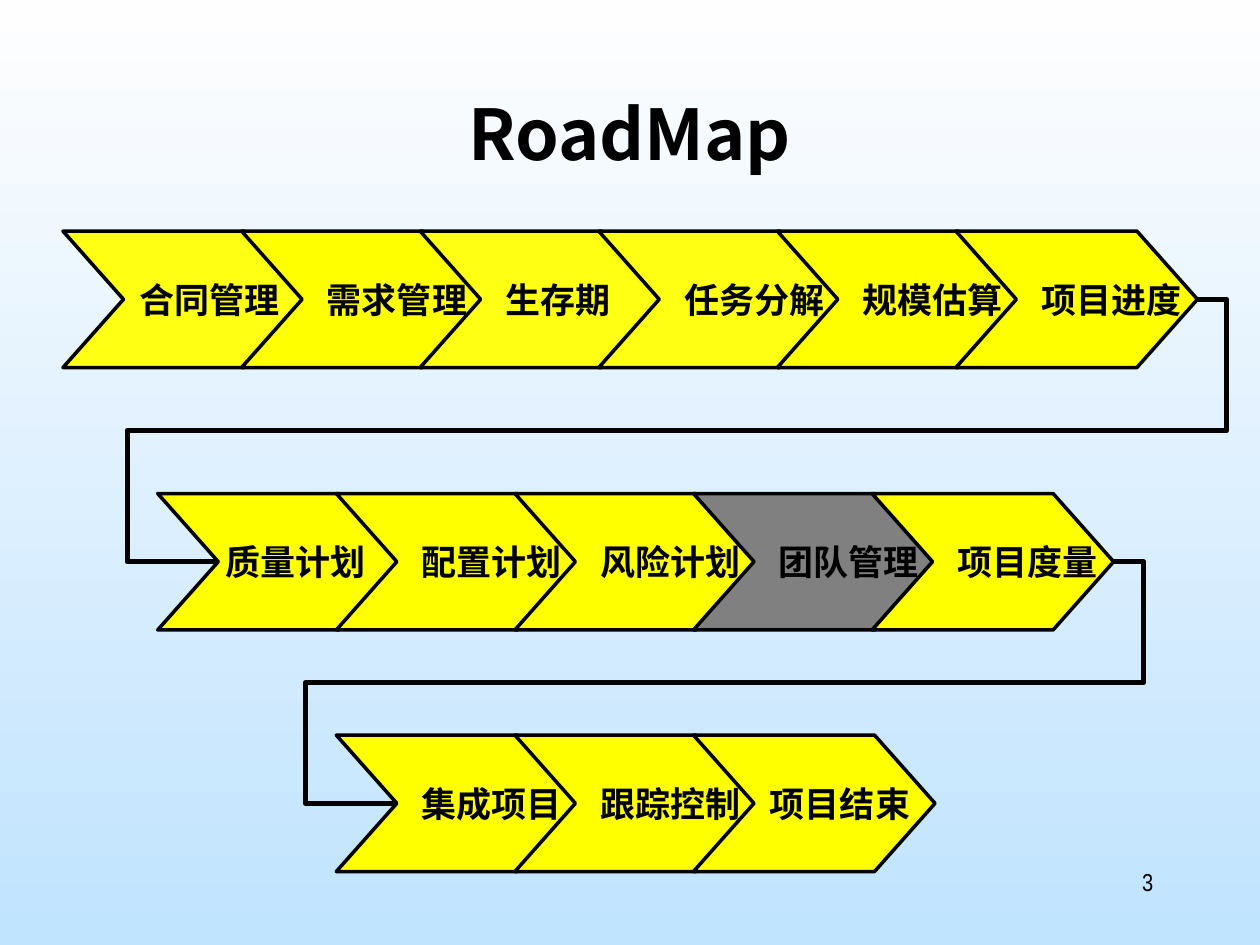
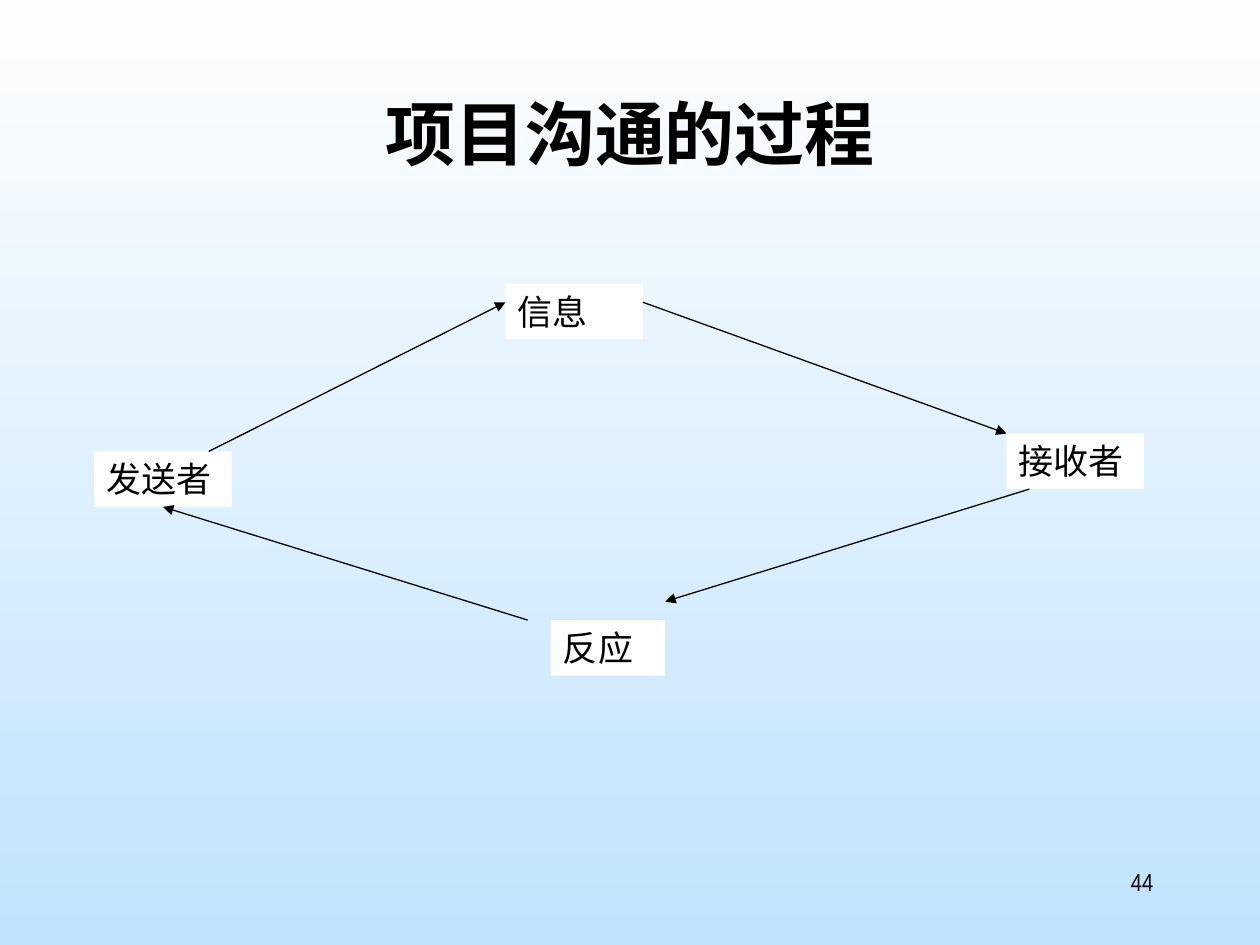
from lxml import etree
from pptx import Presentation
from pptx.dml.color import RGBColor
from pptx.enum.shapes import MSO_CONNECTOR, MSO_SHAPE
from pptx.enum.text import MSO_ANCHOR, MSO_AUTO_SIZE, PP_ALIGN
from pptx.oxml.ns import qn
from pptx.util import Cm, Pt

STRAIGHT, ELBOW = MSO_CONNECTOR.STRAIGHT, MSO_CONNECTOR.ELBOW
RECTANGLE = MSO_SHAPE.RECTANGLE
TOP, MIDDLE = MSO_ANCHOR.TOP, MSO_ANCHOR.MIDDLE
CENTER, RIGHT, JUSTIFY = PP_ALIGN.CENTER, PP_ALIGN.RIGHT, PP_ALIGN.JUSTIFY
NO_AUTOFIT = MSO_AUTO_SIZE.NONE

BLACK, WHITE, GRAY = "000000", "FFFFFF", "808080"
YELLOW, PALE_YELLOW = "FFFF00", "FFFF13"
SKY_TOP, SKY_BOTTOM = "FEFEFE", "C0E3FE"
CJK_FONT, LABEL_FONT, NODE_FONT = "Noto Sans CJK SC", "Arial Narrow", "Times New Roman"

TITLE_BOX = (1.9, 1.7, 21.6, 3.18)
NUMBER_BOX = (18.2, 17.35, 5.3, 1.27)

STEP_WIDTH, STEP_HEIGHT, STEP_PITCH, STEP_POINT = 4.87, 2.75, 3.6, 1.22
WIDE_SHIFT, MID_SHIFT, SMALL_SHIFT = 1.4, 1.04, 0.7
ROADMAP_ROWS = [
    (1.27, 4.66, [
        ("合同管理", PALE_YELLOW, MID_SHIFT),
        ("需求管理", YELLOW, WIDE_SHIFT),
        ("生存期", PALE_YELLOW, SMALL_SHIFT),
        ("任务分解", PALE_YELLOW, WIDE_SHIFT),
        ("规模估算", YELLOW, WIDE_SHIFT),
        ("项目进度", YELLOW, WIDE_SHIFT),
    ]),
    (3.18, 9.95, [
        ("质量计划", YELLOW, SMALL_SHIFT),
        ("配置计划", YELLOW, WIDE_SHIFT),
        ("风险计划", YELLOW, WIDE_SHIFT),
        ("团队管理", GRAY, WIDE_SHIFT),
        ("项目度量", YELLOW, WIDE_SHIFT),
    ]),
    (6.78, 14.82, [
        ("集成项目", YELLOW, WIDE_SHIFT),
        ("跟踪控制", YELLOW, WIDE_SHIFT),
        ("项目结束", YELLOW, MID_SHIFT),
    ]),
]
LINK_OVERHANG_RIGHT, LINK_OVERHANG_LEFT = 0.6, 1.83

PROCESS_NODES = {
    "发送者": (1.9, 9.1, 2.77, 1.12),
    "接收者": (20.29, 8.74, 2.77, 1.12),
    "信息": (10.19, 5.72, 2.77, 1.12),
    "反应": (11.1, 12.5, 2.31, 1.12),
}
PROCESS_ARROWS = [
    (("发送者", 5 / 6, 0), ("信息", 0, 1 / 3)),
    (("信息", 1, 1 / 3), ("接收者", 0, 0)),
    (("接收者", 1 / 6, 1), ("反应", 1, -1 / 3)),
    (("反应", -0.2, 0), ("发送者", 0.5, 1)),
]


def color(hex_code):
    return RGBColor.from_string(hex_code)


def place(shape, box):
    shape.left, shape.top, shape.width, shape.height = map(Cm, box)


def write(shape, text, size=20, font=LABEL_FONT, bold=False, align=CENTER,
          anchor=TOP, wrap=True, shift=0):
    frame = shape.text_frame
    frame.auto_size = NO_AUTOFIT
    frame.word_wrap = wrap
    frame.vertical_anchor = anchor
    frame.margin_left = Cm(0.25 + shift)
    frame.margin_right = Cm(0.25)
    frame.margin_top = frame.margin_bottom = Cm(0.13)
    paragraph = frame.paragraphs[0]
    paragraph.alignment = align
    run = paragraph.add_run()
    run.text = text
    run.font.name = font
    run.font.size = Pt(size)
    run.font.bold = bold
    run.font.color.rgb = color(BLACK)
    east_asian = etree.Element(qn("a:ea"), typeface=CJK_FONT)
    run.font._element.find(qn("a:latin")).addnext(east_asian)


def add_line(slide, kind, start, end, width):
    line = slide.shapes.add_connector(kind, *map(Cm, (*start, *end)))
    line.line.color.rgb = color(BLACK)
    line.line.width = Pt(width)
    etree.SubElement(line._element.spPr, qn("a:effectLst"))
    return line


def style_master(prs):
    fill = prs.slide_master.background.fill
    fill.gradient()
    fill.gradient_angle = 270
    for stop, (position, shade) in zip(fill.gradient_stops, [(0, SKY_TOP), (1, SKY_BOTTOM)]):
        stop.position = position
        stop.color.rgb = color(shade)


def add_titled_slide(prs, title, number):
    slide = prs.slides.add_slide(prs.slide_layouts[5])
    place(slide.shapes.title, TITLE_BOX)
    write(slide.shapes.title, title, size=40, font=CJK_FONT, bold=True)
    page_number = slide.shapes.add_textbox(*map(Cm, NUMBER_BOX))
    write(page_number, number, size=14, align=RIGHT)
    return slide


def add_step(slide, left, top, label, shade, shift):
    shoulder, right = left + STEP_WIDTH - STEP_POINT, left + STEP_WIDTH
    middle, bottom = top + STEP_HEIGHT / 2, top + STEP_HEIGHT
    outline = [(shoulder, top), (right, middle), (shoulder, bottom),
               (left, bottom), (left + STEP_POINT, middle)]
    builder = slide.shapes.build_freeform(Cm(left), Cm(top))
    builder.add_line_segments([(Cm(x), Cm(y)) for x, y in outline], close=True)
    step = builder.convert_to_shape()
    step.shadow.inherit = False
    step.fill.solid()
    step.fill.fore_color.rgb = color(shade)
    step.line.color.rgb = color(BLACK)
    step.line.width = Pt(2)
    write(step, label, bold=True, anchor=MIDDLE, wrap=False, shift=shift)


def add_row_link(slide, start, end):
    link = add_line(slide, ELBOW, start, end, 3)
    span = start[0] - end[0]
    geometry = link._element.spPr.find(qn("a:prstGeom"))
    geometry.set("prst", "bentConnector5")
    guides = geometry.find(qn("a:avLst"))
    bends = [-LINK_OVERHANG_RIGHT / span, 0.5, 1 + LINK_OVERHANG_LEFT / span]
    for index, bend in enumerate(bends, 1):
        etree.SubElement(guides, qn("a:gd"), name=f"adj{index}",
                         fmla=f"val {round(bend * 100000)}")


def add_roadmap(slide, rows):
    for left, top, steps in rows:
        for index, step in enumerate(steps):
            add_step(slide, left + index * STEP_PITCH, top, *step)
    for (left, top, steps), (next_left, next_top, _) in zip(rows, rows[1:]):
        tip = left + (len(steps) - 1) * STEP_PITCH + STEP_WIDTH
        add_row_link(slide, (tip, top + STEP_HEIGHT / 2),
                     (next_left + STEP_POINT, next_top + STEP_HEIGHT / 2))


def add_node(slide, label, box):
    node = slide.shapes.add_shape(RECTANGLE, *map(Cm, box))
    node.shadow.inherit = False
    node.fill.solid()
    node.fill.fore_color.rgb = color(WHITE)
    node.line.fill.background()
    write(node, label, font=NODE_FONT, align=JUSTIFY)


def point_on(nodes, label, across, down):
    left, top, width, height = nodes[label]
    return left + across * width, top + down * height


def add_process(slide, nodes, arrows):
    for label, box in nodes.items():
        add_node(slide, label, box)
    for start, end in arrows:
        arrow = add_line(slide, STRAIGHT, point_on(nodes, *start), point_on(nodes, *end), 0.75)
        etree.SubElement(arrow.line._get_or_add_ln(), qn("a:tailEnd"), type="triangle")


def main():
    prs = Presentation()
    prs.slide_width, prs.slide_height = Cm(25.4), Cm(19.05)
    style_master(prs)
    add_roadmap(add_titled_slide(prs, "RoadMap", "3"), ROADMAP_ROWS)
    add_process(add_titled_slide(prs, "项目沟通的过程", "44"), PROCESS_NODES, PROCESS_ARROWS)
    prs.save("out.pptx")


if __name__ == "__main__":
    main()
